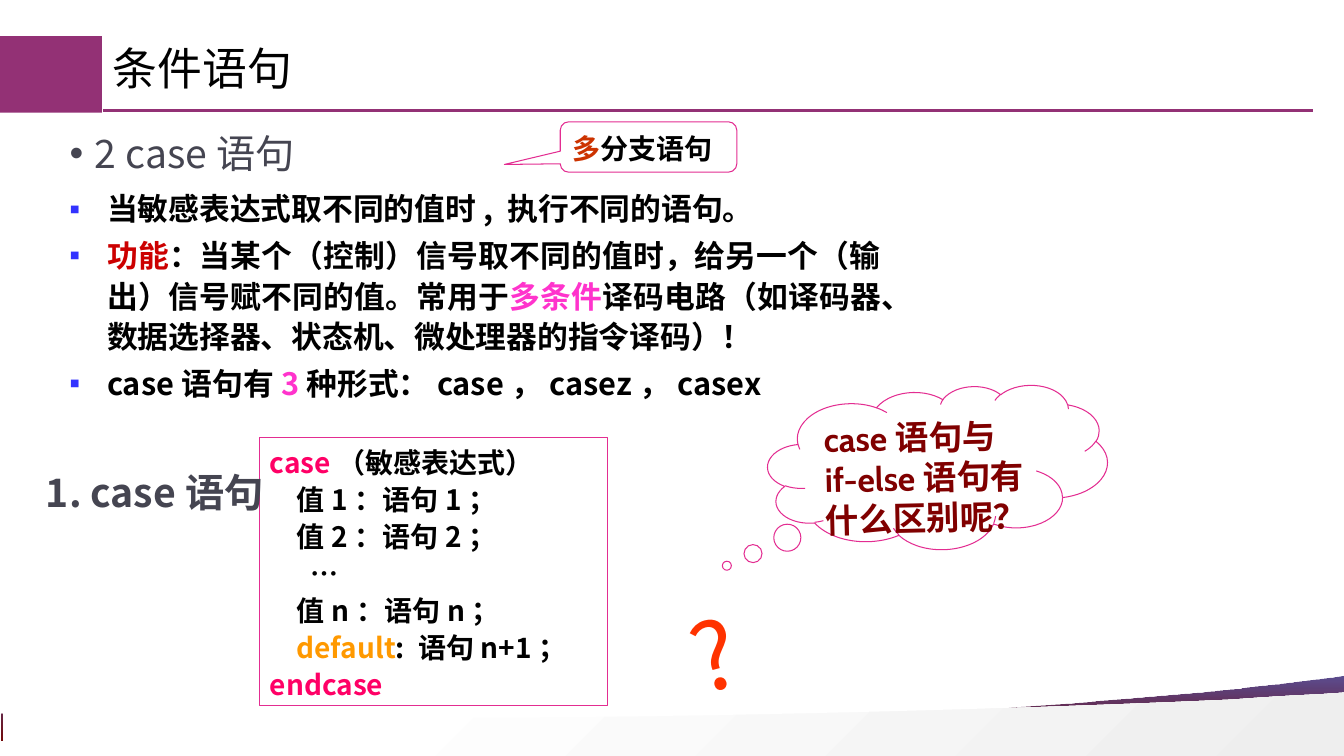
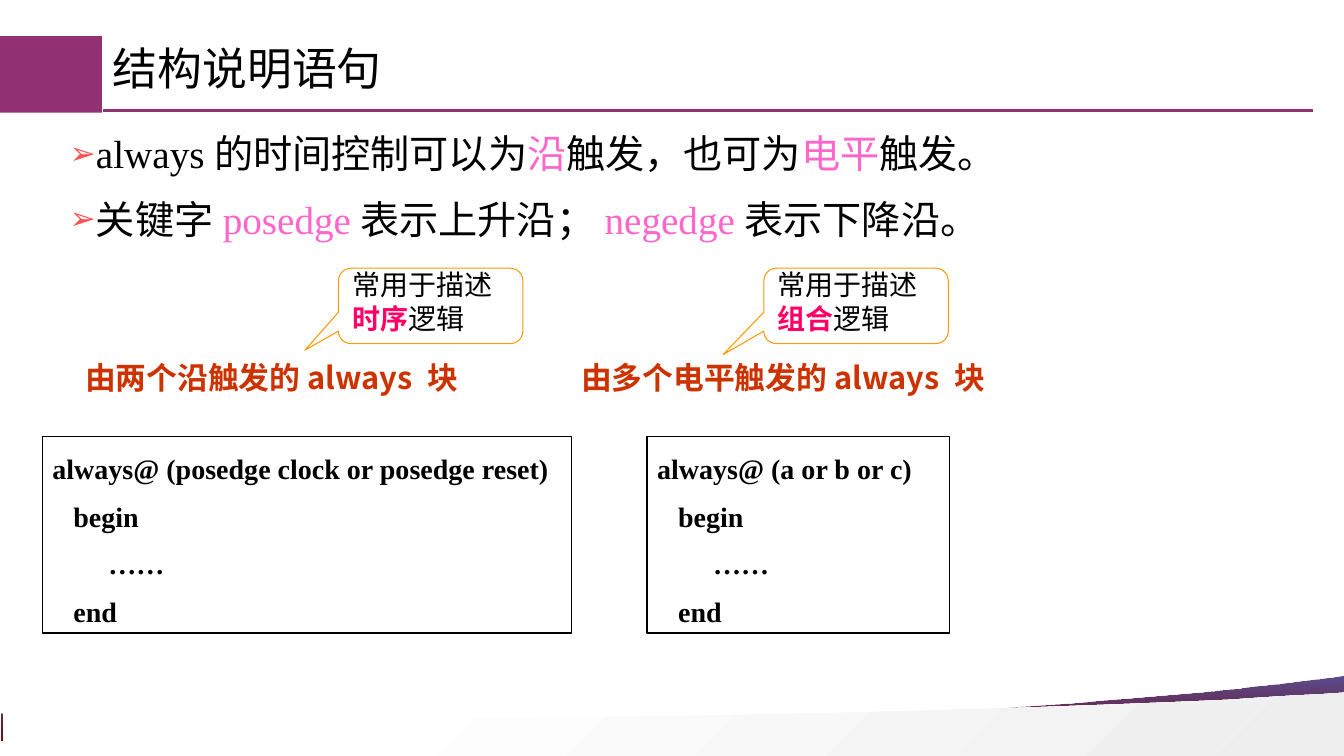
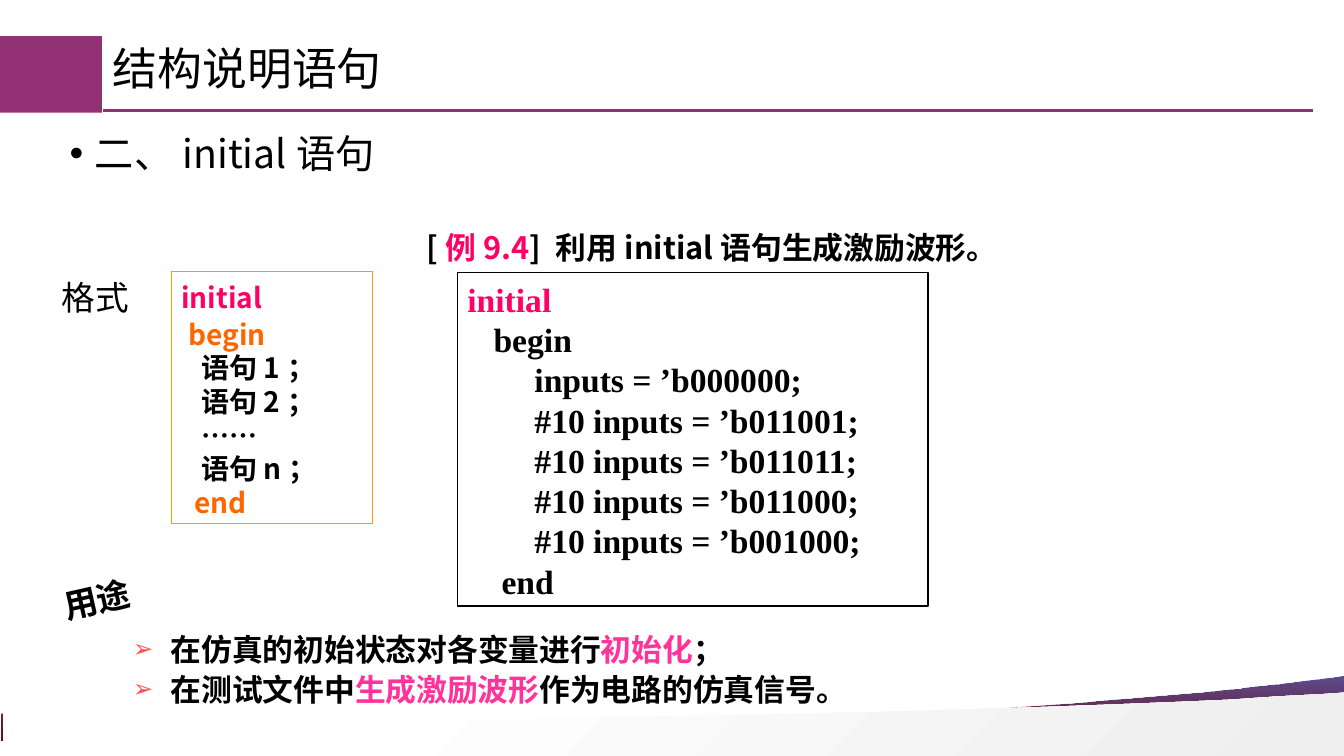
from dataclasses import dataclass, replace

from lxml.etree import SubElement
from pptx import Presentation
from pptx.dml.color import RGBColor
from pptx.enum.shapes import MSO_CONNECTOR, MSO_SHAPE as SHAPE
from pptx.enum.text import MSO_ANCHOR as ANCHOR, MSO_AUTO_SIZE, PP_ALIGN as ALIGN
from pptx.oxml.ns import qn
from pptx.util import Cm, Pt

SANS, SERIF = "Noto Sans CJK SC", "Times New Roman"
PLUM, BLACK, SLATE = "933175", "000000", "454551"
ROSE, MAGENTA, ORANGE, RUST = "FF0066", "E32D91", "FF9900", "CC3300"
PINK, FUCHSIA, HOT_PINK = "FF66CC", "FF33CC", "FF3399"
LINE_HEIGHT = 1.2

SQUARE = ("▪", "3333FF", 100)
ARROW = ("➢", "FF5050", 80)
DOT = ("•", None, 100)


@dataclass
class Style:
    size: float
    font: str = SANS
    bold: bool = False
    leading: float = 1
    before: float = 0
    align: ALIGN = ALIGN.LEFT
    bullet: tuple = None
    hang: float = 0


@dataclass
class Para:
    """Runs are (text, colour) or (text, colour, bold)."""
    runs: list
    indent: float = 0
    leading: float = None


TITLE = Style(32, "Arial", leading=0.9)
BODY = Style(28, leading=1.1, before=10, align=ALIGN.JUSTIFY, bullet=DOT, hang=0.64)
POINTS = Style(22, bold=True, leading=1.1, before=4.4, align=ALIGN.JUSTIFY,
               bullet=SQUARE, hang=0.95)
CODE = Style(20, bold=True, leading=1.1, align=ALIGN.JUSTIFY)
LABEL = Style(22, bold=True)
NOTE = Style(20)


def rgb(color):
    return RGBColor.from_string(color)


def line(text, color=BLACK, indent=0, leading=None):
    return Para([(text, color)], indent, leading)


def add_bullet(pPr, bullet, hang):
    char, color, percent = bullet
    pPr.set("marL", str(Cm(hang)))
    pPr.set("indent", str(-Cm(hang)))
    if color:
        SubElement(SubElement(pPr, qn("a:buClr")), qn("a:srgbClr"), val=color)
    SubElement(pPr, qn("a:buSzPct"), val=str(percent * 1000))
    SubElement(pPr, qn("a:buFont"), typeface="Arial")
    SubElement(pPr, qn("a:buChar"), char=char)


def write(tf, paras, style, anchor=ANCHOR.TOP, wrap=True):
    tf.word_wrap = wrap
    tf.auto_size = MSO_AUTO_SIZE.NONE
    tf.vertical_anchor = anchor
    for i, para in enumerate(paras):
        p = tf.add_paragraph() if i else tf.paragraphs[0]
        p.alignment = style.align
        leading = para.leading or style.leading
        p.line_spacing = Pt(round(style.size * LINE_HEIGHT * leading, 1))
        p.space_before = Pt(style.before if i else 0)
        pPr = p._p.get_or_add_pPr()
        if style.bullet:
            add_bullet(pPr, style.bullet, style.hang)
        elif para.indent:
            pPr.set("marL", str(Cm(para.indent)))
        for text, color, *bold in para.runs:
            r = p.add_run()
            r.text = text
            r.font.size = Pt(style.size)
            r.font.bold = bold[0] if bold else style.bold
            r.font.color.rgb = rgb(color)
            r.font.name = style.font
            SubElement(r._r.get_or_add_rPr(), qn("a:ea"), typeface=SANS)


def add_text(slide, box, paras, style, anchor=ANCHOR.TOP, wrap=True, rotation=0):
    sp = slide.shapes.add_textbox(*map(Cm, box))
    sp.rotation = rotation
    write(sp.text_frame, paras, style, anchor, wrap)


def add_outlined(slide, kind, box, paras, style, color, width=0.75,
                 adjust=(), anchor=ANCHOR.BOTTOM, rotation=0):
    sp = slide.shapes.add_shape(kind, *map(Cm, box))
    sp.shadow.inherit = False
    sp.fill.background()
    sp.line.color.rgb = rgb(color)
    sp.line.width = Pt(width)
    sp.rotation = rotation
    for i, value in enumerate(adjust):
        sp.adjustments[i] = value
    write(sp.text_frame, paras, style, anchor)


def add_callout(slide, box, runs, style, color, tip):
    add_outlined(slide, SHAPE.ROUNDED_RECTANGULAR_CALLOUT, box, [Para(runs)],
                 style, color, adjust=(*tip, 0.167))


def curve(start, c1, c2, end, steps=16):
    """Points of a cubic curve, without its start."""
    points = []
    for i in range(1, steps + 1):
        t = i / steps
        u = 1 - t
        points.append(tuple(u**3 * a + 3 * u * u * t * b + 3 * u * t * t * c + t**3 * d
                            for a, b, c, d in zip(start, c1, c2, end)))
    return points


def add_wave(slide, points, stops, angle):
    points = [(Cm(x), Cm(y)) for x, y in points]
    builder = slide.shapes.build_freeform(*points[0])
    builder.add_line_segments(points[1:], close=True)
    sp = builder.convert_to_shape()
    sp.shadow.inherit = False
    sp.line.fill.background()
    sp.fill.gradient()
    sp.fill.gradient_angle = angle
    for stop, (position, color) in zip(sp.fill.gradient_stops, stops):
        stop.position = position
        stop.color.rgb = rgb(color)
    return sp


def decorate_layout(layout, slide):
    """Draw the shared parts on a slide, then move them into its layout."""
    right = 33.93
    crest, low = (28.5, 17.6), (0.1, 17.98)
    purple = add_wave(
        slide,
        [(right, 17.02), (right, 18.67), (0.05, 18.67), (0.05, 17.98), low]
        + curve(low, (7.72, 18.82), (20.9, 18.24), crest)
        + curve(crest, (30.02, 17.48), (31.75, 17.32), (33.58, 17.07)),
        [(0, "720808"), (1, "342275")], 90)
    last_color = list(purple.element.iter(qn("a:srgbClr")))[-1]
    SubElement(last_color, qn("a:alpha"), val="80000")

    crest, low = (31.04, 17.63), (1.19, 17.91)
    grey = add_wave(
        slide,
        [(right, 17.45), (right, 19.05), (0.08, 19.05), (0.08, 17.86), low]
        + curve(low, (10.01, 18.31), (23.19, 17.98), crest)
        + curve(crest, (31.72, 17.58), (32.44, 17.53), (33.2, 17.5)),
        [(0.26, "FFFFFF"), (1, "EEEEEE")], 315)

    rule = slide.shapes.add_connector(MSO_CONNECTOR.STRAIGHT,
                                      Cm(2.59), Cm(2.79), Cm(33.1), Cm(2.79))
    rule.line.color.rgb = rgb(PLUM)
    rule.line.width = Pt(2.25)
    SubElement(rule.element.spPr, qn("a:effectLst"))

    block = slide.shapes.add_shape(SHAPE.RECTANGLE, Cm(-0.05), Cm(0.91), Cm(2.62), Cm(1.93))
    block.shadow.inherit = False
    block.fill.solid()
    block.fill.fore_color.rgb = rgb(PLUM)
    block.line.fill.background()

    for i, sp in enumerate((purple, grey, rule, block)):
        sp.element.xpath(".//p:cNvPr")[0].set("id", str(100 + i))
        layout.shapes.element.insert(2 + i, sp.element)


def place_placeholders(layout):
    for idx, box in ((0, (2.59, 1.02, 28.96, 2.11)), (1, (1.5, 3.02, 28.35, 13.11))):
        ph = layout.placeholders.get(idx=idx)
        ph.left, ph.top, ph.width, ph.height = map(Cm, box)


def add_slide(prs, layout, title, body, style=BODY):
    slide = prs.slides.add_slide(layout)
    write(slide.shapes.title.text_frame, [line(title)], TITLE)
    write(slide.placeholders[1].text_frame, body, style)
    return slide


def case_points(slide, box):
    add_text(slide, box, [
        line("当敏感表达式取不同的值时, 执行不同的语句。"),
        Para([("功能", "CC0000"),
              ("：当某个（控制）信号取不同的值时，给另一个（输出）信号赋不同的值。常用于", BLACK),
              ("多条件", FUCHSIA),
              ("译码电路（如译码器、数据选择器、状态机、微处理器的指令译码）！", BLACK)]),
        Para([("case语句有", BLACK), ("3", FUCHSIA),
              ("种形式：case，casez，casex", BLACK)]),
    ], POINTS)


def case_syntax(slide, box):
    """Code box with its heading to the left."""
    x, y, w, h = box
    add_outlined(slide, SHAPE.RECTANGLE, box, [
        Para([("case", ROSE), ("（敏感表达式）", BLACK)]),
        line("值1：语句1；", indent=0.68),
        line("值2：语句2；", indent=0.68),
        line("…", indent=1.02),
        line("值n：语句n；", indent=0.68),
        Para([("default", ORANGE), (": 语句n+1；", BLACK)], 0.68),
        line("endcase", ROSE),
    ], CODE, MAGENTA)
    add_text(slide, (x - 5.64, y + 0.54, 6.45, 2.03), [line("1. case语句", SLATE)],
             Style(28, bold=True, leading=1.1))


def case_question(slide, box):
    """Thought cloud with a big question mark below its left end."""
    x, y, w, h = box
    add_outlined(slide, SHAPE.CLOUD_CALLOUT, box,
                 [line("case语句与if-else语句有什么区别呢？", "800000")],
                 Style(24, "Cabin", bold=True), MAGENTA, adjust=(-0.627, 0.572),
                 anchor=ANCHOR.TOP, rotation=358.7)
    add_text(slide, (x - 2.18, y + 5.03, 2.77, 3.05), [line("?", "FF3300")],
             Style(66), ANCHOR.BOTTOM, rotation=344.9)


def always_example(slide, box, code, heading, heading_dx, logic, callout_dx, tip):
    """Code box with a heading and a callout above it."""
    x, y, w, h = box
    add_callout(slide, (x + callout_dx, y - 4.24, 4.65, 1.9),
                [("常用于描述", BLACK), (logic, ROSE, True), ("逻辑", BLACK)],
                NOTE, ORANGE, tip)
    add_outlined(slide, SHAPE.RECTANGLE, box, [
        line(code),
        line("begin", indent=0.53),
        line("……", indent=1.41),
        line("end", indent=0.53),
    ], Style(20, SERIF, bold=True, before=10), BLACK, 1)
    add_text(slide, (x + heading_dx, y - 2.1, 11, 1.19), [line(heading, RUST)],
             LABEL, ANCHOR.BOTTOM)


def initial_syntax(slide, box):
    """Code box with its label to the left."""
    x, y, w, h = box
    steps = [line(text, indent=0.5, leading=1)
             for text in ("语句1；", "语句2；", "……", "语句n；")]
    add_outlined(slide, SHAPE.RECTANGLE, box, [
        line("initial", ROSE),
        line("begin", "FF6600", 0.18),
        *steps,
        line("end", "FF6600", 0.33, 1),
    ], CODE, ORANGE)
    add_text(slide, (x - 3.02, y, 2.24, 1.19), [line("格式")], Style(24), wrap=False)


def initial_example(slide, box):
    """Code box with its caption above."""
    x, y, w, h = box
    add_text(slide, (x - 1.03, y - 1.22, 15.5, 1.14), [
        Para([("[", BLACK), ("例9.4", ROSE), ("] 利用initial语句生成激励波形。", BLACK)]),
    ], LABEL)
    delayed = [line(f"#10 inputs = ’b{bits};", indent=1.69)
               for bits in ("011001", "011011", "011000", "001000")]
    add_outlined(slide, SHAPE.RECTANGLE, box, [
        line("initial", ROSE),
        line("begin", indent=0.66),
        line("inputs = ’b000000;", indent=1.69),
        *delayed,
        line("end", indent=0.86),
    ], Style(24, SERIF, bold=True, align=ALIGN.JUSTIFY), BLACK, 1)


def initial_uses(slide, box):
    """List with its tilted label above the left end."""
    x, y, w, h = box
    add_text(slide, (x - 2.41, y - 1.45, 3.51, 1.75), [line("用途")],
             Style(24, SERIF, bold=True, align=ALIGN.CENTER),
             ANCHOR.MIDDLE, wrap=False, rotation=347.2)
    add_text(slide, box, [
        Para([("在仿真的初始状态对各变量进行", BLACK), ("初始化", HOT_PINK), ("；", BLACK)]),
        Para([("在测试文件中", BLACK), ("生成激励波形", HOT_PINK),
              ("作为电路的仿真信号。", BLACK)]),
    ], replace(POINTS, bullet=ARROW, before=0))


def case_slide(prs, layout):
    slide = add_slide(prs, layout, "条件语句", [line("2 case语句", SLATE)])
    decorate_layout(layout, slide)
    add_callout(slide, (14.12, 3.07, 4.45, 1.27),
                [("多", RUST), ("分支语句", BLACK)],
                replace(NOTE, bold=True), MAGENTA, (-0.816, 0.347))
    case_syntax(slide, (6.55, 11.02, 8.76, 6.76))
    case_points(slide, (1.5, 4.57, 20.96, 5.69))
    case_question(slide, (19.35, 9.75, 8.56, 4.09))


def always_slide(prs, layout):
    slide = add_slide(prs, layout, "结构说明语句", [
        Para([("always的时间控制可以为", BLACK), ("沿", PINK), ("触发，也可为", BLACK),
              ("电平", PINK), ("触发。", BLACK)]),
        Para([("关键字", BLACK), ("posedge", PINK), ("表示上升沿；", BLACK),
              ("negedge", PINK), ("表示下降沿。", BLACK)]),
    ], replace(BODY, font=SERIF, bullet=ARROW))
    always_example(slide, (1.07, 11, 13.34, 4.95),
                   "always@ (posedge clock or posedge reset)",
                   "由两个沿触发的always 块", 0.83, "时序", 7.46, (-0.682, 0.588))
    always_example(slide, (16.31, 11, 7.62, 4.95), "always@ (a or b or c)",
                   "由多个电平触发的always 块", -1.91, "组合", 2.94, (-0.721, 0.646))


def initial_slide(prs, layout):
    slide = add_slide(prs, layout, "结构说明语句", [line("二、initial语句")])
    initial_syntax(slide, (4.32, 6.85, 5.08, 6.35))
    initial_example(slide, (11.53, 6.86, 11.86, 8.41))
    initial_uses(slide, (3.1, 15.67, 19.15, 2.51))


def main():
    prs = Presentation()
    prs.slide_width, prs.slide_height = Cm(33.87), Cm(19.05)
    layout = prs.slide_layouts[1]
    place_placeholders(layout)
    case_slide(prs, layout)
    always_slide(prs, layout)
    initial_slide(prs, layout)
    prs.save("out.pptx")


if __name__ == "__main__":
    main()
